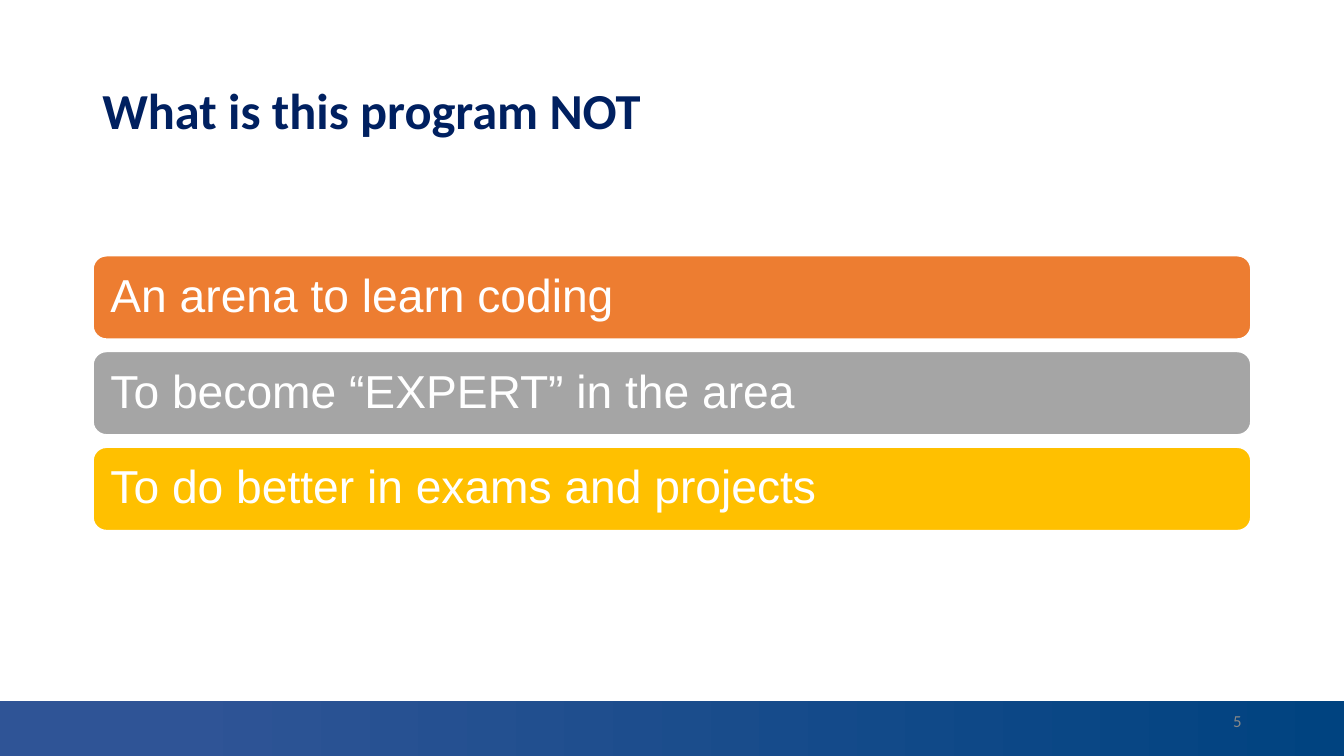
from pptx import Presentation
from pptx.dml.color import RGBColor
from pptx.enum.shapes import MSO_SHAPE
from pptx.enum.text import MSO_ANCHOR, PP_ALIGN
from pptx.util import Pt

RECTANGLE = MSO_SHAPE.RECTANGLE
ROUNDED = MSO_SHAPE.ROUNDED_RECTANGLE
MIDDLE = MSO_ANCHOR.MIDDLE
LEFT, RIGHT = PP_ALIGN.LEFT, PP_ALIGN.RIGHT

WHITE = RGBColor(0xFF, 0xFF, 0xFF)
NAVY = RGBColor(0x00, 0x20, 0x60)
GRAY = RGBColor(0x88, 0x88, 0x88)
BAND_START = RGBColor(0x2F, 0x54, 0x96)
BAND_END = RGBColor(0x00, 0x43, 0x80)
ORANGE = RGBColor(0xED, 0x7D, 0x31)
SILVER = RGBColor(0xA5, 0xA5, 0xA5)
GOLD = RGBColor(0xFF, 0xC0, 0x00)

TITLE = "What is this program NOT"
PAGE_NUMBER = "5"
BARS = [
    ("An arena to learn coding", ORANGE),
    ("To become “EXPERT” in the area", SILVER),
    ("To do better in exams and projects", GOLD),
]

PAGE_WIDTH, PAGE_HEIGHT = 960, 540
MARGIN = 66
CONTENT_WIDTH = PAGE_WIDTH - 2 * MARGIN
BAND_TOP = 500.4
BAR_TOP, BAR_HEIGHT, BAR_PITCH = 182.2, 60.5, 68.4


def write(box, text, font_name, size, color, inset=7.2, align=LEFT, spacing=0.9, bold=False):
    frame = box.text_frame
    frame.word_wrap = True
    frame.vertical_anchor = MIDDLE
    frame.margin_left = frame.margin_right = Pt(inset)
    frame.margin_top = frame.margin_bottom = Pt(3.6)
    para = frame.paragraphs[0]
    para.text = text
    para.alignment = align
    para.line_spacing = spacing
    para.font.name = font_name
    para.font.size = Pt(size)
    para.font.bold = bold
    para.font.color.rgb = color


def add_box(page, left, top, width, height):
    return page.shapes.add_textbox(Pt(left), Pt(top), Pt(width), Pt(height))


def add_block(page, kind, left, top, width, height):
    block = page.shapes.add_shape(kind, Pt(left), Pt(top), Pt(width), Pt(height))
    block.shadow.inherit = False
    return block


def add_band(page):
    band = add_block(page, RECTANGLE, 0, BAND_TOP, PAGE_WIDTH, PAGE_HEIGHT - BAND_TOP)
    band.line.fill.background()
    band.fill.gradient()
    band.fill.gradient_angle = 0
    start, end = band.fill.gradient_stops
    start.position, start.color.rgb = 0.13, BAND_START
    end.position, end.color.rgb = 1, BAND_END


def add_bar(page, index, text, color):
    top = BAR_TOP + index * BAR_PITCH
    bar = add_block(page, ROUNDED, MARGIN, top, CONTENT_WIDTH, BAR_HEIGHT)
    bar.adjustments[0] = 0.167
    bar.fill.solid()
    bar.fill.fore_color.rgb = color
    bar.line.color.rgb = WHITE
    bar.line.width = Pt(2)
    write(bar, text, "Arial", 33, WHITE, inset=10)


def main():
    deck = Presentation()
    deck.slide_width, deck.slide_height = Pt(PAGE_WIDTH), Pt(PAGE_HEIGHT)
    page = deck.slides.add_slide(deck.slide_layouts[6])
    add_band(page)
    title = add_box(page, MARGIN, 28.8, CONTENT_WIDTH, 104.4)
    write(title, TITLE, "Calibri", 36, NAVY, bold=True)
    number = add_box(page, 678, BAND_TOP, 216, 28.8)
    write(number, PAGE_NUMBER, "Calibri", 12, GRAY, align=RIGHT, spacing=1.0)
    for index, (text, color) in enumerate(BARS):
        add_bar(page, index, text, color)
    deck.save("out.pptx")


if __name__ == "__main__":
    main()
